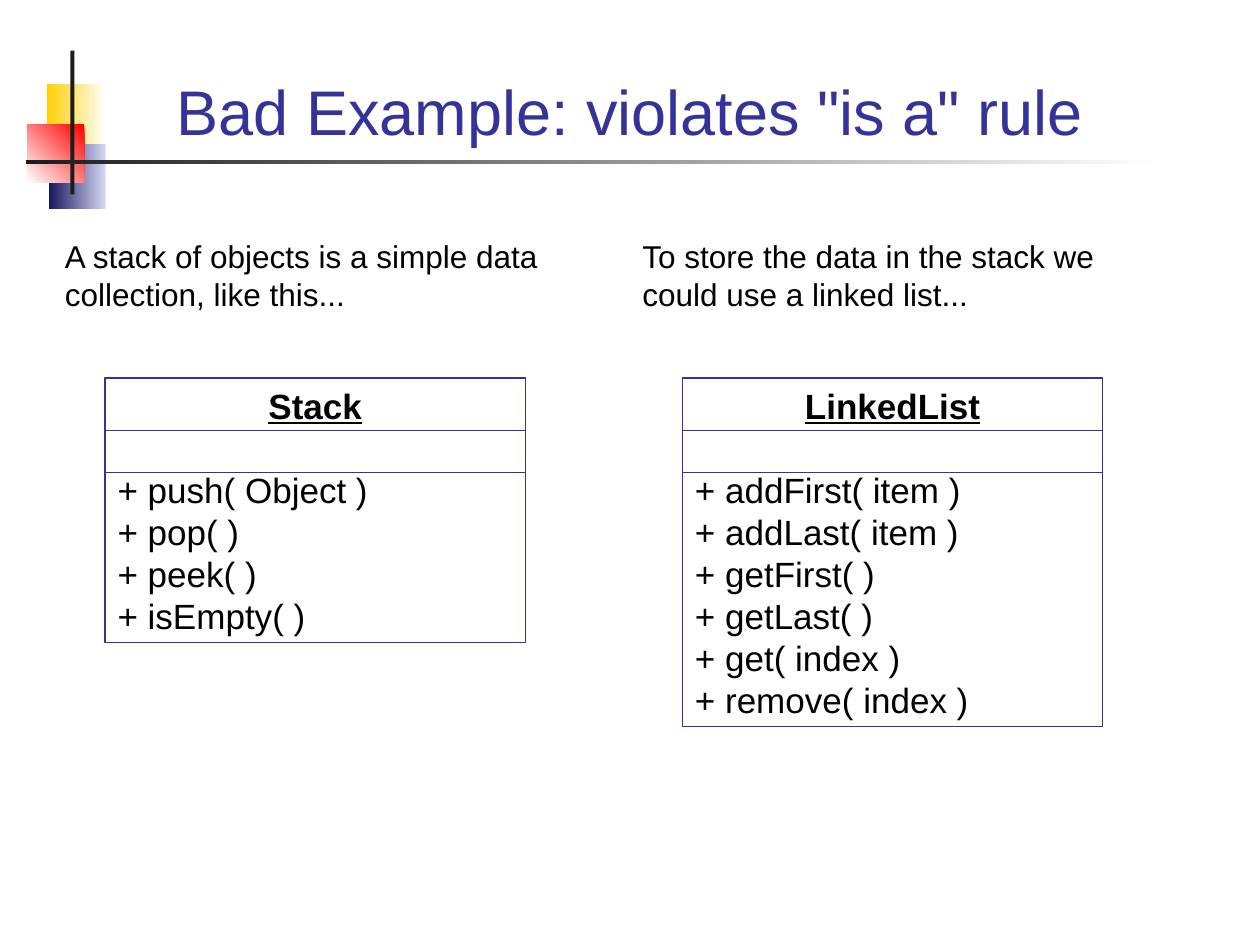
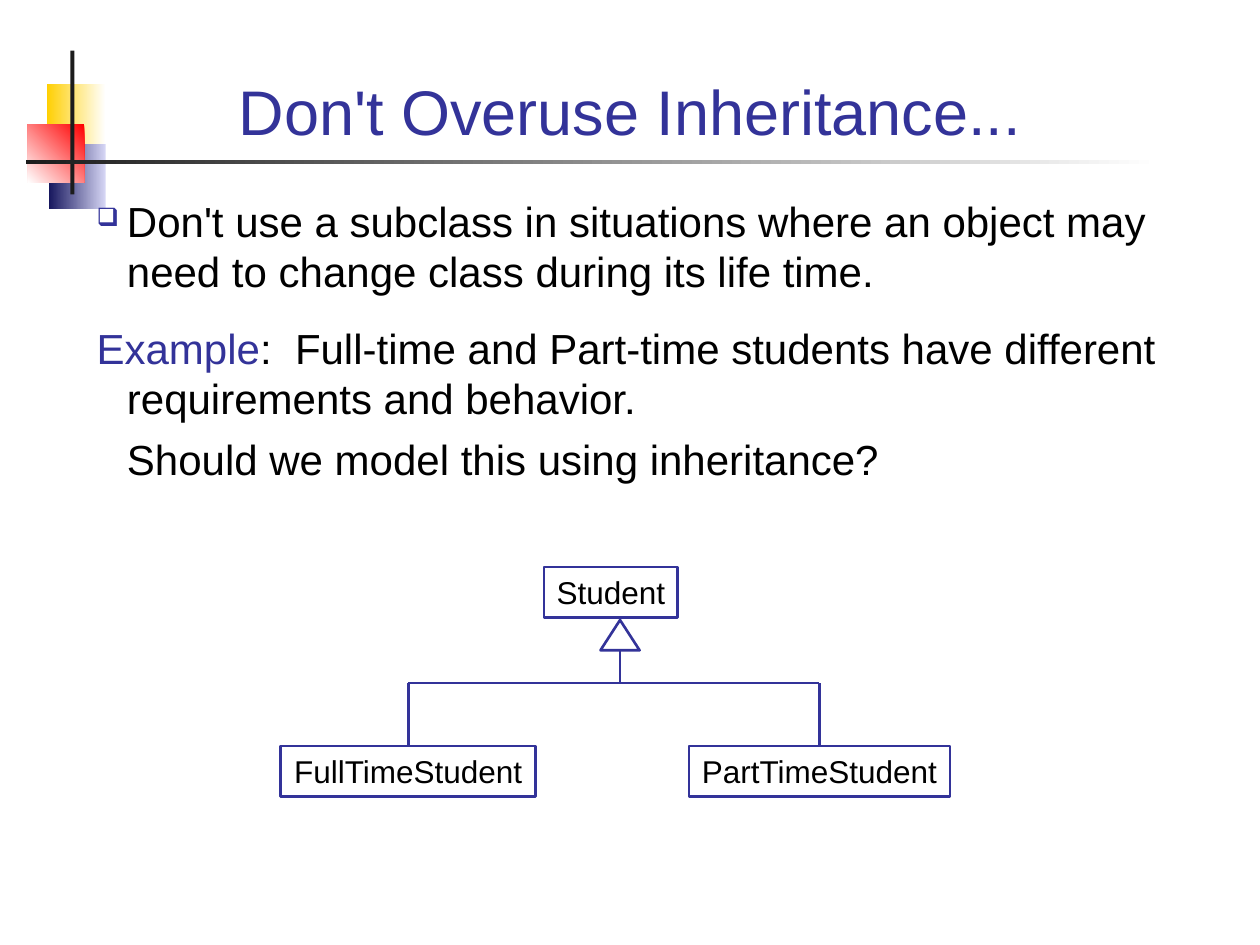
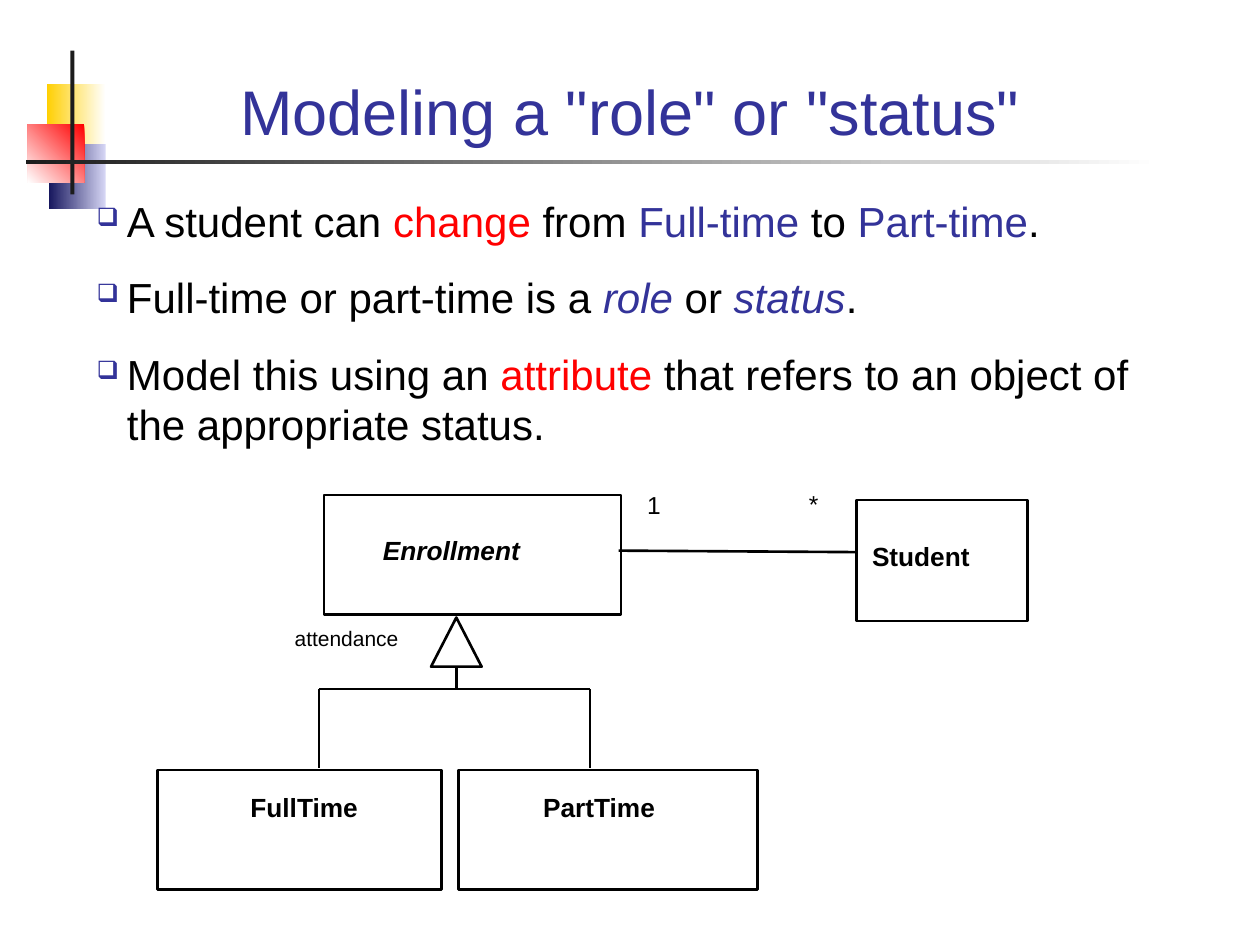
from lxml.etree import SubElement
from pptx import Presentation
from pptx.dml.color import RGBColor
from pptx.enum.shapes import MSO_CONNECTOR, MSO_SHAPE
from pptx.enum.text import MSO_ANCHOR, PP_ALIGN
from pptx.oxml.ns import qn
from pptx.util import Cm, Pt

COLORS = {
    "title": "333399", "text": "000000", "red": "FF0000", "white": "FFFFFF",
    "yellow": "FFCF01", "lilac": "D6D6F5", "navy": "17175E", "rule": "1C1C1C",
}
FONT = "Arial"
LINE_FACTOR = 1.2


def rgb(name):
    return RGBColor.from_string(COLORS[name])


class Deck:
    def __init__(self):
        self.prs = Presentation()
        self.prs.slide_width, self.prs.slide_height = Cm(25.4), Cm(19.05)
        self.s = None

    def slide(self, title):
        self.s = self.prs.slides.add_slide(self.prs.slide_layouts[6])
        self.band(0.94, 1.7, 1.19, 1.32, "white", "yellow", 180)
        self.band(0.99, 2.9, 1.14, 1.32, "lilac", "navy", 180)
        self.band(0.56, 2.51, 1.14, 1.17, "red", "white", 225)
        self.band(1.42, 1.02, 0.08, 2.9, "rule", "rule", 180)
        self.band(0.53, 3.23, 22.83, 0.08, "white", "rule", 180)
        tf = self.text(1.7, 0.71, 22, 2.41, title, 36, "title", PP_ALIGN.CENTER)
        tf.vertical_anchor = MSO_ANCHOR.BOTTOM

    def shape(self, kind, x, y, w, h):
        sp = self.s.shapes.add_shape(kind, Cm(x), Cm(y), Cm(w), Cm(h))
        sp.shadow.inherit = False
        return sp

    def band(self, x, y, w, h, start, end, angle):
        sp = self.shape(MSO_SHAPE.RECTANGLE, x, y, w, h)
        sp.line.fill.background()
        if start == end:
            sp.fill.solid()
            sp.fill.fore_color.rgb = rgb(start)
            return
        sp.fill.gradient()
        sp.fill.gradient_angle = angle
        for stop, color in zip(sp.fill.gradient_stops, (start, end)):
            stop.color.rgb = rgb(color)

    def box(self, x, y, w, h, color, width):
        sp = self.shape(MSO_SHAPE.RECTANGLE, x, y, w, h)
        sp.fill.background()
        sp.line.color.rgb = rgb(color)
        sp.line.width = Pt(width)
        tf = sp.text_frame
        tf.word_wrap = True
        tf.vertical_anchor = MSO_ANCHOR.TOP
        return sp

    def line(self, x1, y1, x2, y2, color, width):
        c = self.s.shapes.add_connector(
            MSO_CONNECTOR.STRAIGHT, Cm(x1), Cm(y1), Cm(x2), Cm(y2))
        c.line.color.rgb = rgb(color)
        c.line.width = Pt(width)
        SubElement(c._element.spPr, qn("a:effectLst"))
        return c

    def style(self, p, size, color="text", align=PP_ALIGN.LEFT, bold=False,
              italic=False, underline=False, before=0):
        p.alignment = align
        p.line_spacing = Pt(size * LINE_FACTOR)
        p.space_before = Pt(before)
        for r in p.runs:
            f = r.font
            f.name, f.size, f.bold, f.italic = FONT, Pt(size), bold, italic
            f.underline = underline
            f.color.rgb = rgb(color)

    def text(self, x, y, w, h, text, size, color="text", align=PP_ALIGN.LEFT,
             inset=True):
        tb = self.s.shapes.add_textbox(Cm(x), Cm(y), Cm(w), Cm(h))
        tf = tb.text_frame
        tf.word_wrap = True
        if not inset:
            tf.margin_left = tf.margin_right = tf.margin_top = tf.margin_bottom = 0
        tf.text = text
        self.style(tf.paragraphs[0], size, color, align)
        return tf

    def body(self, h, items):
        tb = self.s.shapes.add_textbox(Cm(1.7), Cm(3.81), Cm(22), Cm(h))
        tf = tb.text_frame
        tf.word_wrap = True
        for i, (kind, before, parts) in enumerate(items):
            p = tf.paragraphs[0] if i == 0 else tf.add_paragraph()
            self.indent(p, kind)
            for text, *_ in parts:
                p.add_run().text = text
            self.style(p, 24, before=before if i else 0)
            for r, (_, color, italic) in zip(p.runs, parts):
                r.font.color.rgb = rgb(color)
                r.font.italic = italic

    def indent(self, p, kind):
        pPr = p._p.get_or_add_pPr()
        pPr.set("marL", str(Cm(0.61)))
        pPr.set("indent", str(0 if kind == "plain" else -Cm(0.61)))
        if kind == "bullet":
            clr = SubElement(pPr, qn("a:buClr"))
            SubElement(clr, qn("a:srgbClr"), val=COLORS["title"])
            SubElement(pPr, qn("a:buSzPct"), val="60000")
            SubElement(pPr, qn("a:buChar"), char="❑")

    def uml_class(self, x, y, name, methods):
        w, row = 8.47, 0.847
        sp = self.box(x, y, w, 0.25 + row * (len(methods) + 2), "title", 0.75)
        tf = sp.text_frame
        tf.text = "\n".join([name, *methods])
        head, first, *rest = tf.paragraphs
        self.style(head, 20, align=PP_ALIGN.CENTER, bold=True, underline=True)
        self.style(first, 20, before=20 * LINE_FACTOR)
        for p in rest:
            self.style(p, 20)
        for dy in (1.06, 1.91):
            self.line(x, y + dy, x + w, y + dy, "title", 0.75)

    def named_box(self, x, y, w, h, name):
        sp = self.box(x, y, w, h, "title", 1.5)
        sp.text_frame.word_wrap = False
        sp.text_frame.text = name
        self.style(sp.text_frame.paragraphs[0], 18, align=PP_ALIGN.CENTER)
        return sp

    def placed_box(self, x, y, w, h, name, left, top, italic=False):
        sp = self.box(x, y, w, h, "text", 1.5)
        tf = sp.text_frame
        tf.margin_left, tf.margin_top, tf.margin_right = Cm(left), Cm(top), 0
        tf.text = name
        self.style(tf.paragraphs[0], 15, bold=True, italic=italic)

    def inheritance(self, x, y, w, h, bar_y, child_xs, child_y, color):
        sp = self.shape(MSO_SHAPE.ISOSCELES_TRIANGLE, x - w / 2, y, w, h)
        sp.fill.solid()
        sp.fill.fore_color.rgb = rgb("white")
        sp.line.color.rgb = rgb(color)
        sp.line.width = Pt(1.5)
        self.line(x, y + h, x, bar_y, color, 1.5)
        self.line(child_xs[0], bar_y, child_xs[-1], bar_y, color, 1.5)
        return [self.line(cx, bar_y, cx, child_y, color, 1.5) for cx in child_xs]


def plain(text):
    return text, "text", False


def blue(text, italic=False):
    return text, "title", italic


def red(text):
    return text, "red", False


def bad_example(deck):
    deck.slide('Bad Example: violates "is a" rule')
    columns = [
        ("A stack of objects is a simple data collection, like this...", "Stack",
         ["+ push( Object )", "+ pop( )", "+ peek( )", "+ isEmpty( )"]),
        ("To store the data in the stack we could use a linked list...", "LinkedList",
         ["+ addFirst( item )", "+ addLast( item )", "+ getFirst( )",
          "+ getLast( )", "+ get( index )", "+ remove( index )"]),
    ]
    for i, (intro, name, methods) in enumerate(columns):
        x = 1.06 + i * 11.64
        deck.uml_class(x + 1.06, 7.62, name, methods)
        deck.text(x, 4.65, 10.8, 1.78, intro, 18)


def overuse(deck):
    deck.slide("Don't Overuse Inheritance...")
    deck.body(7.11, [
        ("bullet", 0, [plain("Don't use a subclass in situations where an object may "
                             "need to change class during its life time.")]),
        ("hanging", 15, [blue("Example"),
                         plain(":  Full-time and Part-time students have different "
                               "requirements and behavior.")]),
        ("plain", 6, [plain("Should we model this using inheritance?")]),
    ])
    deck.named_box(10.97, 11.43, 2.69, 1.02, "Student")
    full = deck.named_box(5.66, 15.04, 5.14, 1.02, "FullTimeStudent")
    part = deck.named_box(13.89, 15.04, 5.26, 1.02, "PartTimeStudent")
    drops = deck.inheritance(12.5, 12.5, 0.79, 0.61, 13.77, (8.23, 16.52), 15.04,
                             "title")
    for drop, child in zip(drops, (full, part)):
        drop.end_connect(child, 0)


def role(deck):
    deck.slide('Modeling a "role" or "status"')
    deck.body(5.33, [
        ("bullet", 0, [plain("A student can "), red("change"), plain(" from "),
                       blue("Full-time"), plain(" to "), blue("Part-time"),
                       plain(".")]),
        ("bullet", 15, [plain("Full-time or part-time is a "), blue("role", True),
                        plain(" or "), blue("status", True), plain(".")]),
        ("bullet", 15, [plain("Model this using an "), red("attribute"),
                        plain(" that refers to an object of the appropriate "
                              "status.")]),
    ])
    deck.inheritance(9.2, 12.45, 1.02, 0.99, 13.89, (6.43, 11.89), 15.49, "text")
    deck.placed_box(9.25, 15.52, 6.02, 2.41, "PartTime", 1.7, 0.43)
    deck.placed_box(3.18, 15.52, 5.72, 2.41, "FullTime", 1.87, 0.43)
    deck.placed_box(17.27, 10.08, 3.45, 2.44, "Student", 0.31, 0.82)
    deck.placed_box(6.53, 9.98, 5.99, 2.41, "Enrollment", 1.19, 0.79, italic=True)
    deck.line(17.27, 11.13, 12.47, 11.1, "text", 1.5)
    deck.text(5.94, 12.62, 2.3, 0.51, "attendance", 12, inset=False)
    deck.text(12.5, 9.75, 1.37, 0.86, "1", 14, align=PP_ALIGN.CENTER)
    deck.text(15.72, 9.73, 1.37, 0.86, "*", 14, align=PP_ALIGN.CENTER)


def main():
    deck = Deck()
    bad_example(deck)
    overuse(deck)
    role(deck)
    deck.prs.save("out.pptx")


if __name__ == "__main__":
    main()
